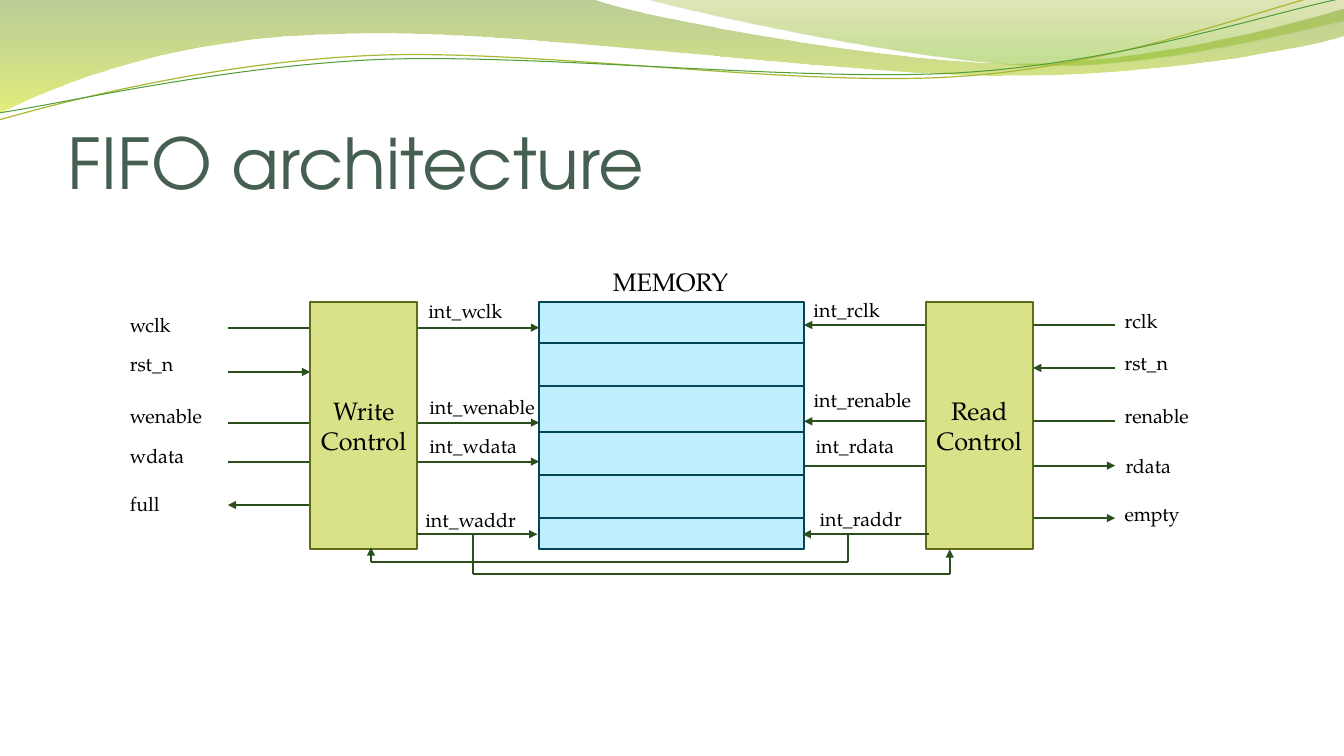
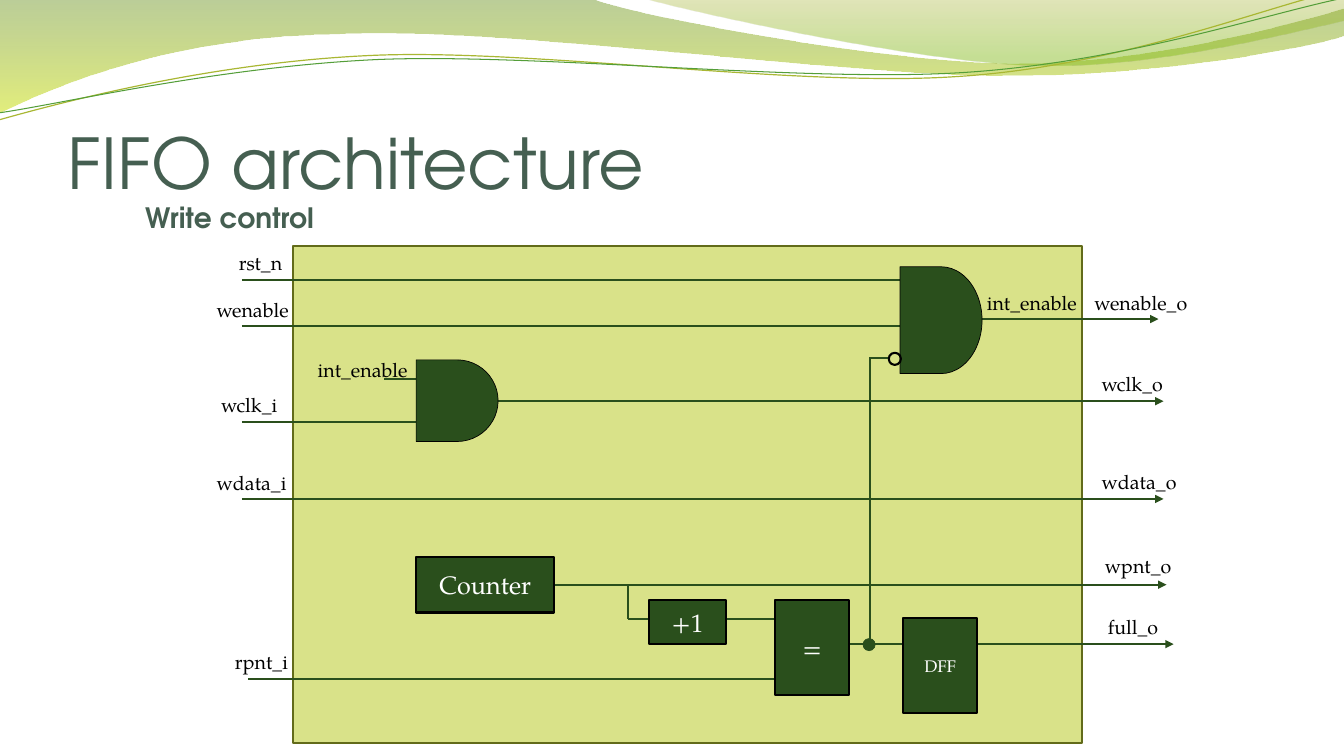
import dataclasses
import math
import pptx
import pptx.util
import pptx.dml.color
import pptx.enum.shapes
import pptx.enum.text
import pptx.oxml.ns
import lxml.etree

Inches, Pt = pptx.util.Inches, pptx.util.Pt
KIND = pptx.enum.shapes.MSO_SHAPE
ALIGN = pptx.enum.text.PP_ALIGN
ANCHOR = pptx.enum.text.MSO_ANCHOR
qn = pptx.oxml.ns.qn
WIDE, HIGH = 13.33, 7.5


@dataclasses.dataclass(frozen=True)
class Theme:
    head: str = "TeX Gyre Adventor"
    body: str = "TeX Gyre Pagella"
    title: str = "455F51"
    ink: str = "000000"
    white: str = "FFFFFF"
    wire: str = "2A4F1C"
    lime: str = "D9E289"
    olive: str = "626B1A"
    sky: str = "C1EEFC"
    navy: str = "044458"
    big: int = 50
    sub: int = 20
    mid: int = 18
    small: int = 14
    tiny: int = 12
    thick: float = 1.5
    thin: float = 0.5


T = Theme()


def rgb(code):
    return pptx.dml.color.RGBColor.from_string(code)


def put(item, **values):
    for name, value in values.items():
        setattr(item, name, value)


def write(shape, text, size, color, font=T.body, bold=None,
          align=ALIGN.LEFT, anchor=ANCHOR.TOP, pad=(0.1, 0.05, 0.1, 0.05)):
    frame = shape.text_frame
    left, top, right, low = map(Inches, pad)
    put(frame, text=text, word_wrap=True, vertical_anchor=anchor,
        auto_size=pptx.enum.text.MSO_AUTO_SIZE.NONE, margin_left=left,
        margin_top=top, margin_right=right, margin_bottom=low)
    for para in frame.paragraphs:
        para.alignment = align
        for run in para.runs:
            put(run.font, name=font, size=Pt(size), bold=bold)
            run.font.color.rgb = rgb(color)


def style(shape, fill=None, line=None, width=T.thick):
    shape.shadow.inherit = False
    if fill:
        shape.fill.solid()
        shape.fill.fore_color.rgb = rgb(fill)
    else:
        shape.fill.background()
    if line:
        shape.line.color.rgb = rgb(line)
        shape.line.width = Pt(width)
    else:
        shape.line.fill.background()


class Grid:
    """Columns and rows laid over a box on a slide."""

    def __init__(self, slide, box, cols, rows):
        self.shapes = slide.shapes
        self.left, self.top, wide, high = box
        self.col, self.row = wide / cols, high / rows

    def spot(self, x, y):
        return Inches(self.left + x * self.col), Inches(self.top + y * self.row)

    def span(self, x, y, w, h):
        return *self.spot(x, y), Inches(w * self.col), Inches(h * self.row)

    def block(self, at, fill, line, text="", size=T.mid, color=T.ink,
              kind=KIND.RECTANGLE, width=T.thick):
        shape = self.shapes.add_shape(kind, *self.span(*at))
        style(shape, fill, line, width)
        if text:
            write(shape, text, size, color, align=ALIGN.CENTER,
                  anchor=ANCHOR.MIDDLE, pad=(0, 0, 0, 0))

    def wire(self, x1, y1, x2, y2, arrow=False, color=T.wire):
        line = self.shapes.add_connector(
            pptx.enum.shapes.MSO_CONNECTOR.STRAIGHT,
            *self.spot(x1, y1), *self.spot(x2, y2))
        line.line.color.rgb = rgb(color)
        line.line.width = Pt(T.thick)
        props = line.element.spPr
        if arrow:
            lxml.etree.SubElement(props.find(qn("a:ln")), qn("a:tailEnd"),
                                  type="triangle")
        lxml.etree.SubElement(props, qn("a:effectLst"))

    def label(self, text, x, y, wide=None):
        wide = wide or (10.7 if len(text) < 9 else 13.1)
        box = self.shapes.add_textbox(*self.span(x, y, wide, 3.4))
        write(box, text, T.small, T.ink)


# Wave band: each curve is a start, then Bezier (6) or line (2) steps
BANDS = [
    ([(0, 0), (5.87, -0.01), (6.34, 0.17, 8.84, 0.63, 10.11, 0.63),
      (11.37, 0.63, 12.77, 0.26, 13.33, 0.09), (13.34, 0.36),
      (13.11, 0.44, 11.59, 0.76, 9.94, 0.75),
      (8.29, 0.75, 5.09, 0.28, 3.43, 0.34),
      (1.72, 0.36, 0.61, 0.83, -0.02, 1.13), (0, 0)],
     [(0, "69921C", 45), (1, "CCE10F", 55)]),
    ([(6.38, -0.01), (6.79, 0.11, 9.09, 0.62, 10.25, 0.65),
      (11.4, 0.69, 12.82, 0.32, 13.33, 0.21), (13.33, 0), (6.38, -0.01)],
     [(0, "9BAA1A", 30), (0.8, "81BA16", 45)]),
]
STRANDS = [
    ([(-0.01, 1.19), (0.63, 1.01, 2.1, 0.62, 3.69, 0.55),
      (5.27, 0.48, 7.89, 0.87, 9.49, 0.76),
      (11.1, 0.66, 12.51, 0.08, 13.3, -0.1)], "A9B733", 0.85),
    ([(-0.01, 1.12), (0.62, 1.03, 2.18, 0.66, 3.77, 0.59),
      (5.37, 0.53, 7.96, 0.82, 9.55, 0.72),
      (11.14, 0.62, 12.55, 0.14, 13.33, -0.02)], "549E39", 0.75),
]
TILT = 357.3


def turn(x, y, angle):
    a = math.radians(angle)
    return x * math.cos(a) - y * math.sin(a), x * math.sin(a) + y * math.cos(a)


def outline(slide, steps, close, tilt=0):
    """Lay the points, bend them into Bezier curves, then tilt the shape."""
    dots = [turn(step[i], step[i + 1], -tilt)
            for step in steps for i in range(0, len(step), 2)]
    dots = [(Inches(x), Inches(y)) for x, y in dots]
    pen = slide.shapes.build_freeform(*dots[0])
    pen.add_line_segments(dots[1:], close=close)
    shape = pen.convert_to_shape()
    legs = iter(list(shape.element.spPr.iter(qn("a:lnTo"))))
    for step in steps[1:]:
        part = [next(legs) for n in range(len(step) // 2)]
        if len(part) == 3:
            curve = lxml.etree.Element(qn("a:cubicBezTo"))
            part[0].addprevious(curve)
            for leg in part:
                curve.append(leg[0])
                leg.getparent().remove(leg)
    half, rise = shape.width / 2, shape.height / 2
    x, y = turn(shape.left + half, shape.top + rise, tilt)
    put(shape, left=round(x - half), top=round(y - rise), rotation=tilt)
    return shape


def waves(slide, layout):
    """Draw the waves and hand them to the layout that all slides share."""
    made = []
    for steps, stops in BANDS:
        shape = outline(slide, steps, True)
        style(shape)
        shape.fill.gradient()
        shape.fill.gradient_angle = 270
        for stop, (place, color, alpha) in zip(shape.fill.gradient_stops, stops):
            stop.position = place
            stop.color.rgb = rgb(color)
        tints = list(shape.element.spPr.iter(qn("a:srgbClr")))
        for tint, (place, color, alpha) in zip(tints, stops):
            lxml.etree.SubElement(tint, qn("a:alpha"), val=str(alpha * 1000))
        made.append(shape)
    for steps, color, width in STRANDS:
        shape = outline(slide, steps, False, TILT)
        style(shape, None, color, width)
        made.append(shape)
    for n, shape in enumerate(made):
        shape.element.nvSpPr.cNvPr.set("id", str(100 + n))
        layout.shapes.element.insert(2 + n, shape.element)


def heading(slide, text, sub=None):
    title = slide.shapes.title
    put(title, left=Inches(0.67), top=Inches(0.77),
        width=Inches(12), height=Inches(1.25))
    look = dict(color=T.title, font=T.head, anchor=ANCHOR.BOTTOM,
                pad=(0, 0.05, 0, 0))
    write(title, text, T.big, **look)
    if sub:
        box = slide.shapes.add_textbox(*map(Inches, (1.44, 2.01, 11.22, 0.31)))
        write(box, sub, T.sub, bold=True, **look)


def fifo(slide, box):
    """Write control, memory and read control side by side."""
    g = Grid(slide, box, 112, 40)
    top, high, wide = 4.92, 24.58, 10.63
    out, put_x, mem, get_x, end = 12.6, 20.77, 43.47, 81.82, 100.6
    put_r, mem_r, get_r = put_x + wide, mem + 26.27, get_x + wide

    # Wires that run behind the blocks: row, start, end, arrow
    for y, x1, x2, arrow in (
            (21.2, mem_r, end, True), (16.8, end, mem_r, True),
            (20.8, out, mem, True), (16.93, out, mem, True),
            (11.5, end, get_r, True), (11.9, out, put_x, True),
            (7.25, end, mem_r, True), (7.5, out, mem, True),
            (25.1, put_x, out, True), (26.4, get_r, end, True)):
        g.wire(x1, y, x2, y, arrow)

    # Blocks
    for x, name in ((put_x, "Write"), (get_x, "Read")):
        g.block((x, top, wide, high), T.lime, T.olive, name + "\nControl")
    g.block((mem, top, mem_r - mem, high), T.sky, T.navy)
    for y in (9, 13.3, 17.9, 22.1, 26.4):
        g.wire(mem, y, mem_r, y, color=T.navy)
    cap = g.shapes.add_textbox(*g.span(43.6, 0.9, 25.8, 4))
    write(cap, "MEMORY", T.mid, T.ink, align=ALIGN.CENTER)

    # Address wires and their loops to the opposite control
    g.wire(put_r, 28, 43.3, 28, True)
    g.wire(82.1, 28, 69.6, 28, True)
    for x, low, goal, tip in ((36.9, 31.95, 84.2, 29.5),
                              (74.1, 30.75, 26.8, 29.3)):
        g.wire(x, 28, x, low)
        g.wire(x, low, goal, low)
        g.wire(goal, low, goal, tip, True)

    # Signal names
    for text, x, y in (
            ("wclk", 1.9, 5.6), ("rst_n", 1.9, 9.4), ("wenable", 1.9, 14.6),
            ("wdata", 1.9, 18.5), ("full", 1.9, 23.3),
            ("rclk", 100.55, 5.15), ("rst_n", 100.55, 9.3),
            ("renable", 100.55, 14.6), ("rdata", 100.65, 19.5),
            ("empty", 100.55, 24.3),
            ("int_wclk", 31.5, 4.15), ("int_wenable", 31.6, 13.7),
            ("int_wdata", 31.6, 17.6), ("int_waddr", 31.2, 24.9),
            ("int_rclk", 69.7, 4.05), ("int_renable", 69.7, 13),
            ("int_rdata", 69.9, 17.6), ("int_raddr", 70.3, 24.8)):
        g.label(text, x, y, 11.9 if text in ("int_renable", "int_rdata") else None)


def control(slide, box):
    """Logic inside the write control block."""
    g = Grid(slide, box, 102, 50)
    g.block((9.04, 0.4, 78.27, 49.3), T.lime, T.olive)

    # Wires: row, start, end, arrow
    for y, x1, x2, arrow in (
            (3.8, 4, 72.5, False), (8.35, 4, 73.3, False),
            (13.6, 18.1, 21.3, False), (17.9, 4, 21.3, False),
            (15.8, 26.3, 95.4, True), (25.5, 4, 95.4, True),
            (34, 26.6, 95.7, True), (43.35, 4.6, 57.2, False),
            (37.4, 42.3, 57.2, False), (39.9, 61.3, 96.4, True),
            (7.65, 72.9, 94.9, True), (11.5, 66.2, 68.2, False)):
        g.wire(x1, y, x2, y, arrow)
    g.wire(42.3, 37.4, 42.3, 34)
    g.wire(66.25, 11.5, 66.25, 39.9)

    # Gates, blocks, junction and inverter ring
    for at in ((69.27, 2.47, 8.13, 10.6), (21.27, 11.7, 8.13, 8.1)):
        g.block(at, T.wire, T.ink, kind=KIND.FLOWCHART_DELAY, width=T.thin)
    for text, size, at in (
            ("Counter", T.mid, (21.27, 31.27, 13.7, 5.5)),
            ("+1", T.mid, (44.4, 35.53, 7.6, 4.4)),
            ("=", T.mid, (56.9, 35.5, 7.3, 9.45)),
            ("DFF", T.tiny, (69.6, 37.3, 7.3, 9.45))):
        g.block(at, T.wire, T.ink, text, size, T.white)
    g.block((65.6, 39.35, 1.2, 1.2), T.wire, T.wire, kind=KIND.OVAL, width=T.thin)
    g.block((68.15, 11, 1.2, 1.2), None, T.ink, kind=KIND.OVAL)

    # Signal names
    for text, x, y, wide in (
            ("rst_n", 2.7, 0.4, 10.7), ("wenable", 0.5, 5.05, 10.7),
            ("int_enable", 10.53, 11, 12), ("wclk_i", 0.95, 14.5, 10.7),
            ("wdata_i", 0.5, 22.25, 10.7), ("rpnt_i", 2.3, 40, 13.1),
            ("int_enable", 76.9, 4.4, 12), ("wenable_o", 87.57, 4.4, 13.4),
            ("wclk_o", 88.27, 12.4, 10.7), ("wdata_o", 88.27, 22.1, 10.7),
            ("wpnt_o", 88.6, 30.45, 13.1), ("full_o", 88.9, 36.5, 10.7)):
        g.label(text, x, y, wide)


def main():
    deck = pptx.Presentation()
    put(deck, slide_width=Inches(WIDE), slide_height=Inches(HIGH))
    layout = deck.slide_layouts[5]
    first, second = [deck.slides.add_slide(layout) for n in range(2)]
    waves(first, layout)
    heading(first, "FIFO architecture")
    fifo(first, (1, 2.5, 11.2, 4))
    heading(second, "FIFO architecture", "Write control")
    control(second, (2, 2.4, 10.2, 5))
    deck.save("out.pptx")


if __name__ == "__main__":
    main()
